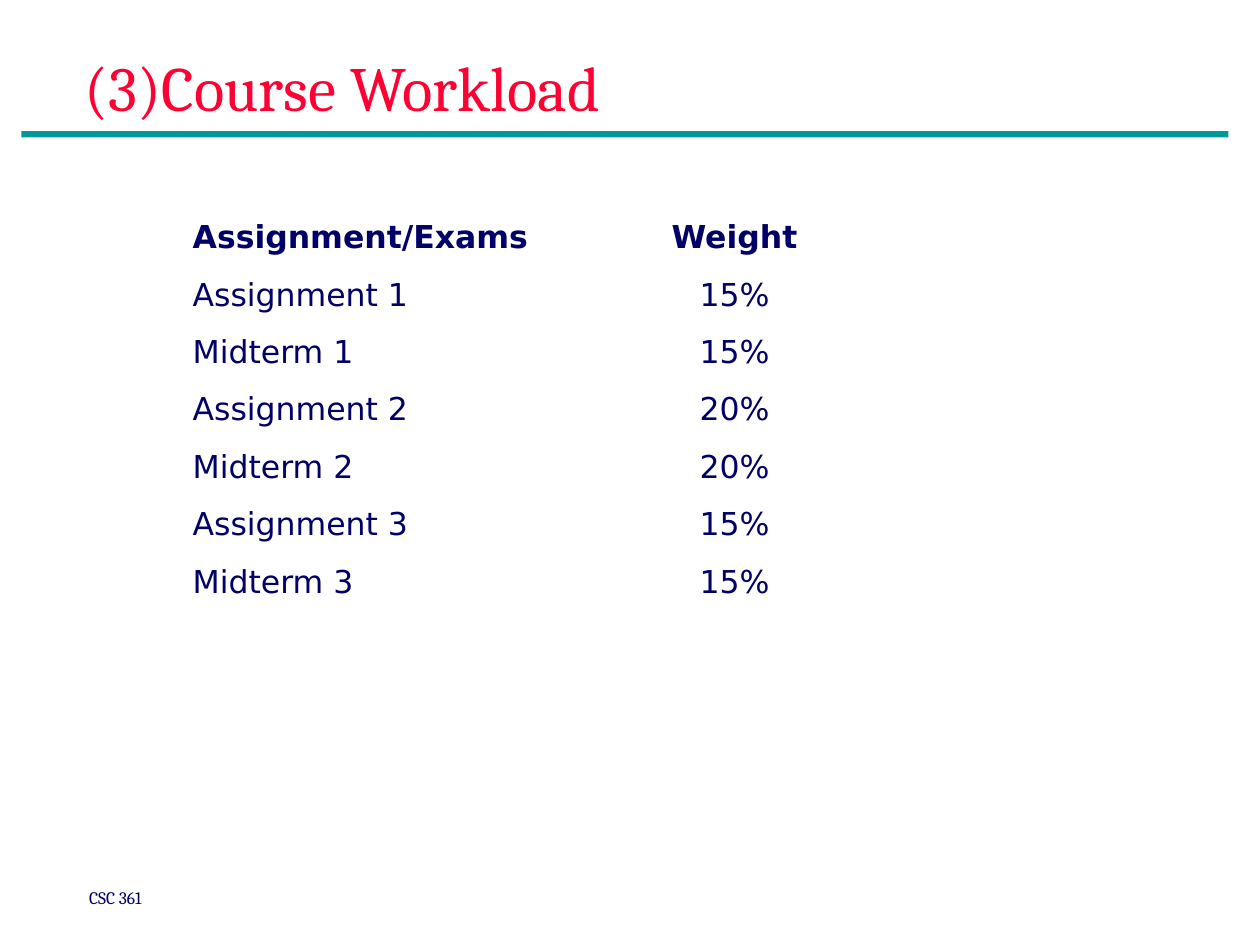
from dataclasses import dataclass

from pptx import Presentation
from pptx.dml.color import RGBColor
from pptx.enum.shapes import MSO_SHAPE
from pptx.enum.text import MSO_ANCHOR, MSO_AUTO_SIZE, PP_ALIGN
from pptx.util import Inches, Pt


@dataclass(frozen=True)
class Theme:
    serif: str = "Cambria"
    sans: str = "DejaVu Sans"
    red: RGBColor = RGBColor(0xFF, 0x00, 0x33)
    navy: RGBColor = RGBColor(0x00, 0x00, 0x66)
    teal: RGBColor = RGBColor(0x00, 0x99, 0x99)
    white: RGBColor = RGBColor(0xFF, 0xFF, 0xFF)
    title_size: Pt = Pt(36)
    table_size: Pt = Pt(18)
    footer_size: Pt = Pt(10)


THEME = Theme()
ROWS = [
    ("Assignment/Exams", "Weight"),
    ("Assignment 1", "15%"),
    ("Midterm 1", "15%"),
    ("Assignment 2", "20%"),
    ("Midterm 2", "20%"),
    ("Assignment 3", "15%"),
    ("Midterm 3", "15%"),
]


def set_attributes(obj, **values):
    for name, value in values.items():
        setattr(obj, name, value)


def write(tf, text, name, size, color, bold=False, align=PP_ALIGN.LEFT):
    p = tf.paragraphs[0]
    p.alignment = align
    r = p.add_run()
    r.text = text
    set_attributes(r.font, name=name, size=size, bold=bold)
    r.font.color.rgb = color


def add_title(s, text, left, top, width, height):
    sp = s.shapes.title
    set_attributes(sp, left=left, top=top, width=width, height=height)
    set_attributes(sp.text_frame, vertical_anchor=MSO_ANCHOR.MIDDLE,
                   word_wrap=True, auto_size=MSO_AUTO_SIZE.NONE)
    write(sp.text_frame, text, THEME.serif, THEME.title_size, THEME.red)


def add_rule(s, left, top, width, height):
    sp = s.shapes.add_shape(MSO_SHAPE.RECTANGLE, left, top, width, height)
    sp.shadow.inherit = False
    sp.fill.solid()
    sp.fill.fore_color.rgb = THEME.teal
    sp.line.fill.background()


def add_footer(s, text, left, top, width, height):
    tf = s.shapes.add_textbox(left, top, width, height).text_frame
    set_attributes(tf, word_wrap=False, auto_size=MSO_AUTO_SIZE.SHAPE_TO_FIT_TEXT)
    write(tf, text, THEME.serif, THEME.footer_size, THEME.navy)


def add_workload_table(s, rows, left, top, width, height):
    table = s.shapes.add_table(len(rows), len(rows[0]), left, top, width, height).table
    set_attributes(table, first_row=False, horz_banding=False)
    for i, row in enumerate(rows):
        for j, text in enumerate(row):
            cell = table.cell(i, j)
            set_attributes(cell, vertical_anchor=MSO_ANCHOR.MIDDLE,
                           margin_left=Inches(0.02), margin_right=Inches(0.02))
            cell.fill.solid()
            cell.fill.fore_color.rgb = THEME.white
            write(cell.text_frame, text, THEME.sans, THEME.table_size, THEME.navy,
                  bold=i == 0, align=PP_ALIGN.CENTER if j else PP_ALIGN.LEFT)


def main():
    prs = Presentation()
    set_attributes(prs, slide_width=Inches(10), slide_height=Inches(7.5))
    s = prs.slides.add_slide(prs.slide_layouts.get_by_name("Title Only"))
    add_rule(s, Inches(0.17), Inches(1.04), Inches(9.58), Inches(0.05))
    add_footer(s, "CSC 361", Inches(0.61), Inches(6.99), Inches(0.75), Inches(0.27))
    add_title(s, "(3)Course Workload", Inches(0.57), Inches(0), Inches(8.96), Inches(1.37))
    add_workload_table(s, ROWS, Inches(1.51), Inches(1.66), Inches(5.76), Inches(3.19))
    prs.save("out.pptx")


if __name__ == "__main__":
    main()
